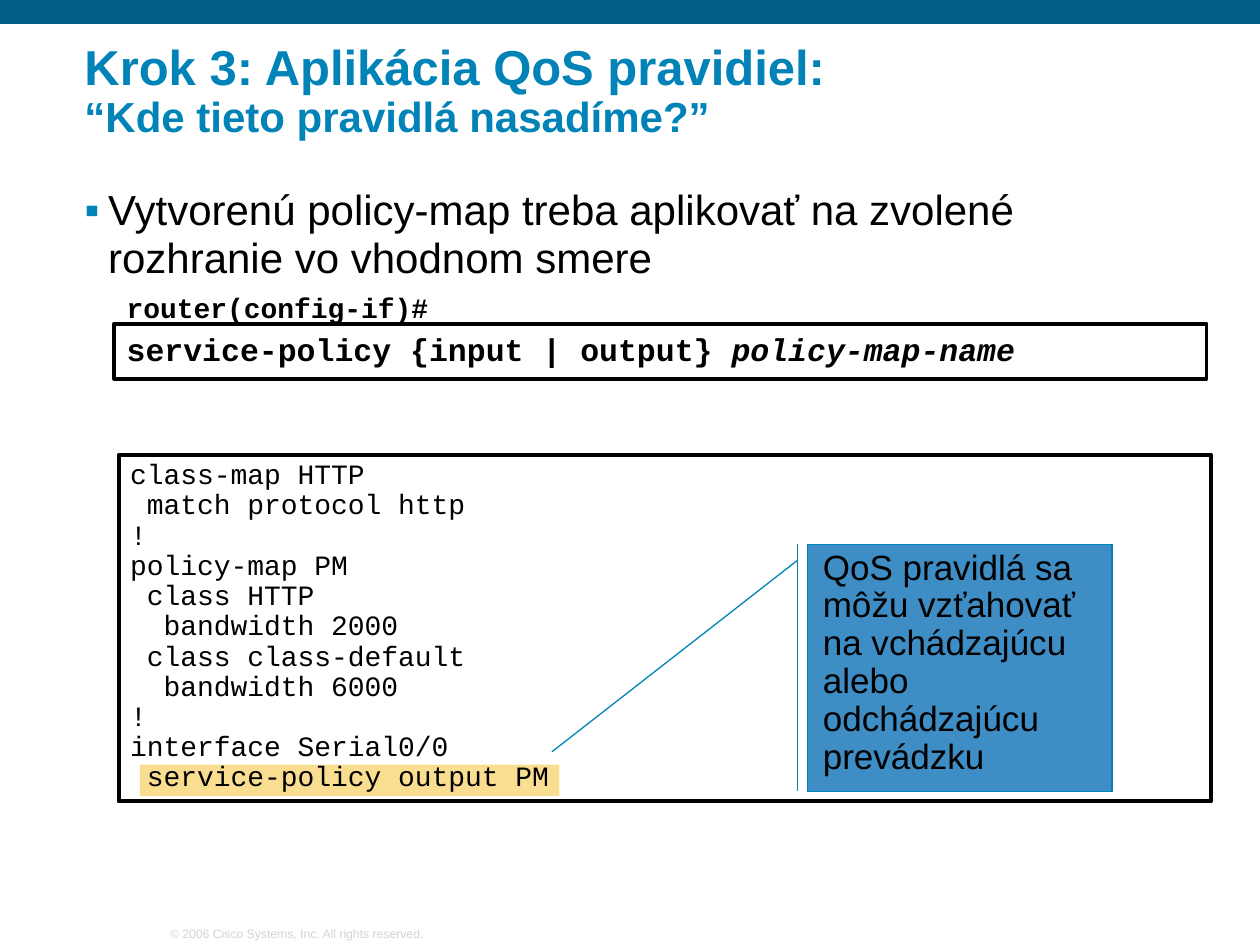
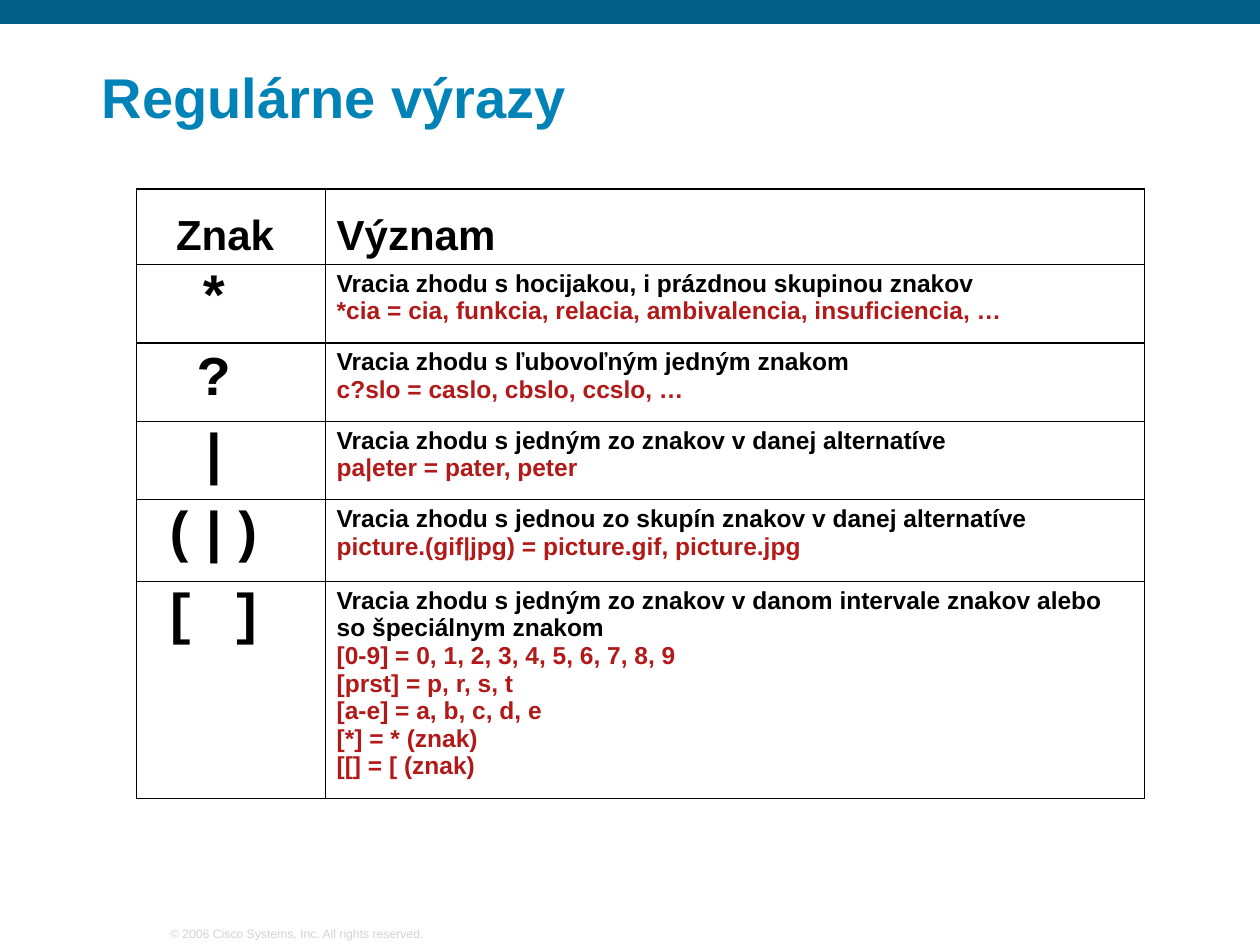
from dataclasses import dataclass, replace
from typing import NamedTuple, Optional

from lxml import etree
from pptx import Presentation
from pptx.dml.color import RGBColor
from pptx.enum.shapes import MSO_CONNECTOR as Connector, MSO_SHAPE as Preset
from pptx.enum.text import MSO_ANCHOR as Anchor, PP_ALIGN as Align
from pptx.oxml.ns import qn
from pptx.util import Pt

BAND, ACCENT, CALLOUT, HIGHLIGHT = "015F85", "0183B7", "3E8DC5", "F9DE91"
BLACK, WHITE, PALE, EXAMPLE_RED = "000000", "FFFFFF", "D3D3D3", "B21A1A"
SANS, MONO = "Arial", "Courier New"
SLIDE_WIDTH, SLIDE_HEIGHT = 720, 540
HANGING = 13.5


class Box(NamedTuple):
    left: float
    top: float
    width: float
    height: float

    def lengths(self) -> list:
        return [Pt(value) for value in self]


class Run(NamedTuple):
    text: str
    size: Optional[float] = None
    italic: Optional[bool] = None


@dataclass(frozen=True)
class Style:
    size: float
    color: str = BLACK
    font: str = SANS
    bold: bool = False
    spacing: float = 1.0
    align: Align = Align.LEFT
    anchor: Anchor = Anchor.TOP
    margins: tuple = (6.5, 3.2)
    hanging: float = 0
    bullet: str = ""


class Meaning(NamedTuple):
    symbol: str
    description: str
    examples: list


TITLE = Style(28, ACCENT, bold=True, spacing=0.9, anchor=Anchor.BOTTOM)
FOOTER = Style(7, PALE, anchor=Anchor.BOTTOM)
BULLET = Style(24, spacing=0.95, hanging=HANGING, bullet="▪")
PROMPT = Style(16, font=MONO, bold=True, margins=(7.2, 3.6))
COMMAND = replace(PROMPT, size=18)
CONFIG = Style(16, font=MONO, spacing=0.9, hanging=HANGING)
NOTE = Style(20, spacing=0.9)
HEADER = Style(24, bold=True, anchor=Anchor.BOTTOM)
SYMBOL = Style(32, font=MONO, bold=True, align=Align.CENTER)
DESCRIPTION = Style(14, bold=True)
EXAMPLE = replace(DESCRIPTION, color=EXAMPLE_RED)

CONFIG_LINES = """class-map HTTP
 match protocol http
!
policy-map PM
 class HTTP
  bandwidth 2000
 class class-default
  bandwidth 6000
!
interface Serial0/0
 service-policy output PM""".split("\n")

MEANINGS = [
    Meaning("* ", "Vracia zhodu s hocijakou, i prázdnou skupinou znakov",
            ["*cia = cia, funkcia, relacia, ambivalencia, insuficiencia, …"]),
    Meaning("? ", "Vracia zhodu s ľubovoľným jedným znakom",
            ["c?slo = caslo, cbslo, ccslo, …"]),
    Meaning("| ", "Vracia zhodu s jedným zo znakov v danej alternatíve",
            ["pa|eter = pater, peter"]),
    Meaning("(|) ", "Vracia zhodu s jednou zo skupín znakov v danej alternatíve",
            ["picture.(gif|jpg) = picture.gif, picture.jpg"]),
    Meaning("[ ] ", "Vracia zhodu s jedným zo znakov v danom intervale znakov "
            "alebo so špeciálnym znakom",
            ["[0-9] = 0, 1, 2, 3, 4, 5, 6, 7, 8, 9", "[prst] = p, r, s, t",
             "[a-e] = a, b, c, d, e", "[*] = * (znak)", "[[] = [ (znak)"]),
]
COLUMN_WIDTHS = [108, 468]
ROW_HEIGHTS = [43.2] * 4 + [46.8, 95.8]


def rgb(color: str) -> RGBColor:
    return RGBColor.from_string(color)


def add_bullet(properties, bullet: str) -> None:
    color = etree.SubElement(properties, qn("a:buClr"))
    etree.SubElement(color, qn("a:srgbClr"), val=ACCENT)
    etree.SubElement(properties, qn("a:buFont"), typeface=SANS)
    etree.SubElement(properties, qn("a:buChar"), char=bullet)


def format_paragraph(paragraph, style: Style) -> None:
    paragraph.alignment = style.align
    paragraph.line_spacing = style.spacing
    properties = paragraph._p.get_or_add_pPr()
    if style.hanging:
        properties.set("marL", str(Pt(style.hanging)))
        properties.set("indent", str(-Pt(style.hanging)))
    if style.bullet:
        add_bullet(properties, style.bullet)
    font = paragraph.font
    font.name, font.size, font.bold = style.font, Pt(style.size), style.bold
    font.color.rgb = rgb(style.color)


def write(frame, lines: list, style: Style) -> None:
    """Fill a text frame; a line is a string, a list of Runs or a (string, Style) pair."""
    for index, line in enumerate(lines):
        paragraph = frame.paragraphs[0] if index == 0 else frame.add_paragraph()
        line_style = style
        if isinstance(line, tuple):
            line, line_style = line
        format_paragraph(paragraph, line_style)
        for part in [Run(line)] if isinstance(line, str) else line:
            if part.text == "\n":
                paragraph.add_line_break()
                continue
            run = paragraph.add_run()
            run.text = part.text
            if part.size:
                run.font.size = Pt(part.size)
            if part.italic:
                run.font.italic = True


def set_margins(target, style: Style) -> None:
    side, edge = (Pt(margin) for margin in style.margins)
    target.margin_left = target.margin_right = side
    target.margin_top = target.margin_bottom = edge
    target.vertical_anchor = style.anchor


def write_box(shape, lines: list, style: Style) -> None:
    frame = shape.text_frame
    frame.word_wrap = True
    set_margins(frame, style)
    write(frame, lines, style)


def add_text(slide, box: Box, lines: list, style: Style) -> None:
    write_box(slide.shapes.add_textbox(*box.lengths()), lines, style)


def add_rect(slide, box: Box, fill: str, line: str = "", weight: float = 0):
    rect = slide.shapes.add_shape(Preset.RECTANGLE, *box.lengths())
    rect.shadow.inherit = False
    rect.fill.solid()
    rect.fill.fore_color.rgb = rgb(fill)
    if line:
        rect.line.color.rgb = rgb(line)
        rect.line.width = Pt(weight)
    else:
        rect.line.fill.background()
    return rect


def add_line(slide, start: tuple, end: tuple) -> None:
    points = [Pt(value) for value in start + end]
    line = slide.shapes.add_connector(Connector.STRAIGHT, *points)
    line.line.color.rgb = rgb(ACCENT)
    line.line.width = Pt(0.75)
    etree.SubElement(line._element.spPr, qn("a:effectLst"))


def add_borders(cell) -> None:
    properties = cell._tc.get_or_add_tcPr()
    for position, side in enumerate(("a:lnL", "a:lnR", "a:lnT", "a:lnB")):
        border = etree.Element(qn(side), w=str(Pt(1)))
        fill = etree.SubElement(border, qn("a:solidFill"))
        etree.SubElement(fill, qn("a:srgbClr"), val=BLACK)
        properties.insert(position, border)


def fill_cell(cell, lines: list, style: Style) -> None:
    set_margins(cell, style)
    write(cell.text_frame, lines, style)
    cell.fill.background()
    add_borders(cell)


def start_slide(deck, title_box: Box, title: list, style: Style):
    """Add a blank slide with the shared band, footer and title."""
    slide = deck.slides.add_slide(deck.slide_layouts[6])
    add_rect(slide, Box(0, 0, SLIDE_WIDTH, 13.7), BAND)
    add_text(slide, Box(90.7, 525.6, 159, 15),
             ["© 2006 Cisco Systems, Inc. All rights reserved."], FOOTER)
    add_text(slide, title_box, title, style)
    return slide


def build_policy_slide(deck) -> None:
    title = [Run("Krok 3: Aplikácia QoS pravidiel: "), Run("\n"),
             Run("“Kde tieto pravidlá nasadíme?”", size=24)]
    slide = start_slide(deck, Box(41.8, 18, 651, 66.2), [title], TITLE)
    add_text(slide, Box(41.8, 103.7, 625, 57),
             ["Vytvorenú policy-map treba aplikovať na zvolené "
              "rozhranie vo vhodnom smere"], BULLET)

    command = add_rect(slide, Box(65.3, 185, 624.2, 31.4), WHITE, BLACK, 2.25)
    write_box(command, [[Run("service-policy {input | output} "),
                         Run("policy-map-name", italic=True)]], COMMAND)
    add_text(slide, Box(65.3, 162.7, 381.6, 26.6), ["router(config-if)#"], PROMPT)

    config_box = Box(67.9, 260, 624.2, 198)
    add_rect(slide, config_box, WHITE, BLACK, 2.25)
    add_rect(slide, Box(79.9, 437, 239.8, 18), HIGHLIGHT)
    add_text(slide, config_box, CONFIG_LINES, CONFIG)

    note = Box(461.5, 311, 174, 141.2)
    bar = note.left - 5.8
    add_rect(slide, note, CALLOUT, ACCENT, 0.75)
    add_line(slide, (bar, note.top), (bar, note.top + note.height))
    add_line(slide, (bar, 320.2), (315.4, 429.6))
    add_text(slide, Box(463.7, 311, 166.3, 136),
             ["QoS pravidlá sa môžu vzťahovať na vchádzajúcu alebo "
              "odchádzajúcu prevádzku"], NOTE)


def build_regex_slide(deck) -> None:
    slide = start_slide(deck, Box(51.8, 23.8, 641.5, 54), ["Regulárne výrazy"],
                        replace(TITLE, size=32))
    box = Box(77.9, 108, sum(COLUMN_WIDTHS), sum(ROW_HEIGHTS))
    table = slide.shapes.add_table(len(ROW_HEIGHTS), len(COLUMN_WIDTHS),
                                   *box.lengths()).table
    table.first_row = table.horz_banding = False
    for column, width in zip(table.columns, COLUMN_WIDTHS):
        column.width = Pt(width)
    for row, height in zip(table.rows, ROW_HEIGHTS):
        row.height = Pt(height)

    fill_cell(table.cell(0, 0), ["Znak "], replace(HEADER, align=Align.CENTER))
    fill_cell(table.cell(0, 1), ["Význam"], HEADER)
    for row, meaning in enumerate(MEANINGS, start=1):
        fill_cell(table.cell(row, 0), [meaning.symbol], SYMBOL)
        examples = [(example, EXAMPLE) for example in meaning.examples]
        fill_cell(table.cell(row, 1), [meaning.description] + examples, DESCRIPTION)


def main() -> None:
    deck = Presentation()
    deck.slide_width, deck.slide_height = Pt(SLIDE_WIDTH), Pt(SLIDE_HEIGHT)
    build_policy_slide(deck)
    build_regex_slide(deck)
    deck.save("out.pptx")


if __name__ == "__main__":
    main()
